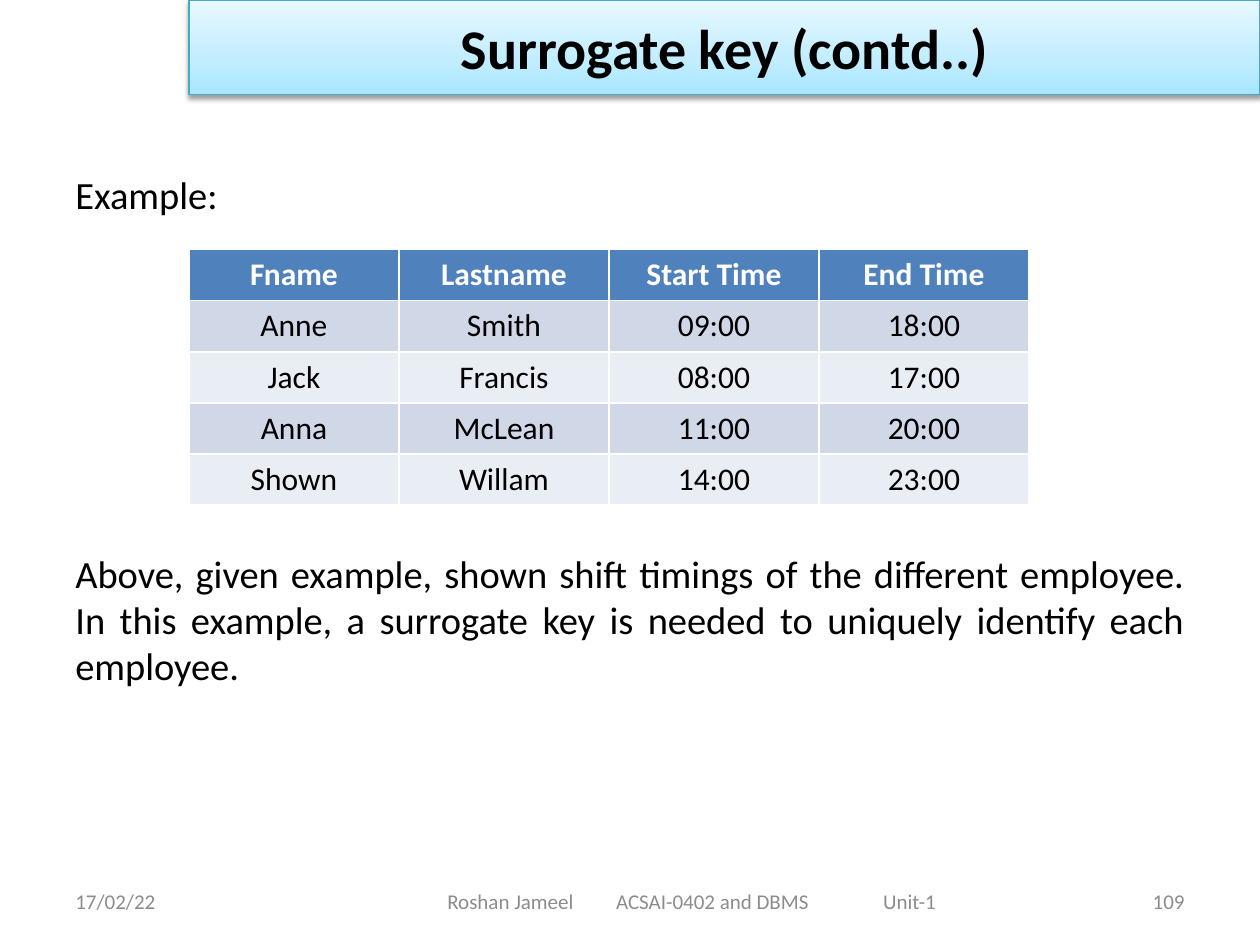
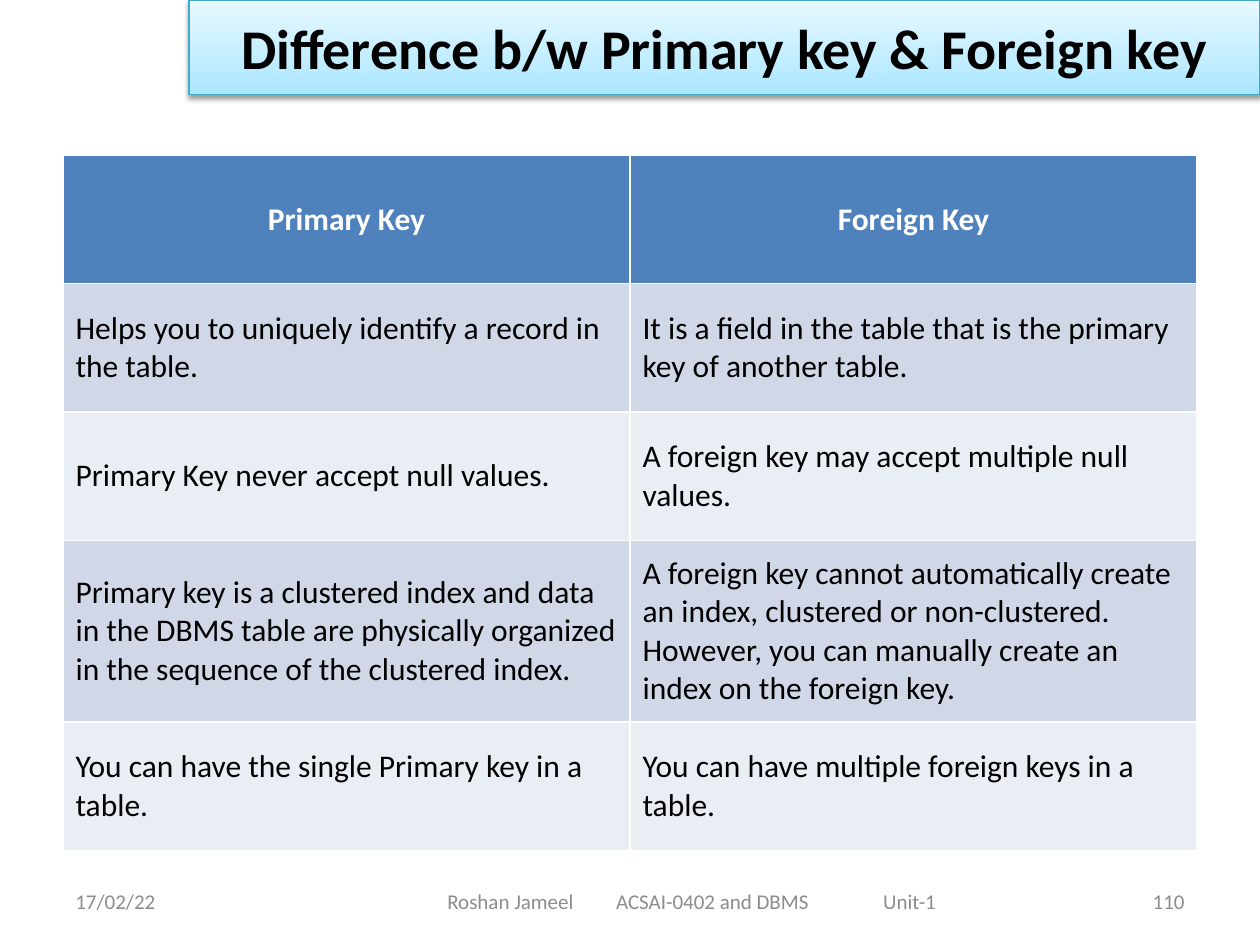
from pptx import Presentation
from pptx.dml.color import RGBColor
from pptx.enum.shapes import MSO_SHAPE
from pptx.enum.text import MSO_ANCHOR, PP_ALIGN
from pptx.oxml import parse_xml
from pptx.oxml.ns import nsdecls
from pptx.util import Inches, Pt

RECT = MSO_SHAPE.RECTANGLE
MIDDLE = MSO_ANCHOR.MIDDLE
LEFT, CENTER, RIGHT, JUST = PP_ALIGN.LEFT, PP_ALIGN.CENTER, PP_ALIGN.RIGHT, PP_ALIGN.JUSTIFY

FONT = "Calibri"
BLACK, WHITE, GRAY = "000000", "FFFFFF", "8C8C8C"
HEAD, DARK, PALE, EDGE = "4F81BD", "D0D8E8", "E9EDF4", "46AAC5"
STOPS = [(0, "A7E6FF"), (35, "C1EDFF"), (100, "E7F8FF")]

GRADE = "".join(
    f'<a:gs pos="{pos * 1000}"><a:srgbClr val="{tone}"/></a:gs>' for pos, tone in STOPS)
GRADE = (f'<a:gradFill {nsdecls("a")} rotWithShape="1"><a:gsLst>{GRADE}</a:gsLst>'
         '<a:lin ang="16200000" scaled="0"/></a:gradFill>')
SHADE = (f'<a:effectLst {nsdecls("a")}><a:outerShdw blurRad="39370" dist="20320" dir="5400000" '
         f'rotWithShape="0"><a:srgbClr val="{BLACK}"><a:alpha val="38000"/></a:srgbClr>'
         '</a:outerShdw></a:effectLst>')
TABS = f'<a:tabLst {nsdecls("a")}><a:tab pos="{Inches(1.34)}" algn="l"/>' \
       f'<a:tab pos="{Inches(3.46)}" algn="l"/></a:tabLst>'


def color(code):
    return RGBColor.from_string(code)


def write(par, text, size, tone=BLACK, align=LEFT, bold=False):
    par.alignment = align
    run = par.add_run()
    run.text = text
    run.font.name = FONT
    run.font.size = Pt(size)
    run.font.bold = bold
    run.font.color.rgb = color(tone)


deck = Presentation()
deck.slide_width, deck.slide_height = Inches(10), Inches(7.5)
wide, tall = deck.slide_width, deck.slide_height
edge = int(wide * 0.05)
inner = wide - 2 * edge
band = int(wide * 0.15)

shifts = [
    ["Fname", "Lastname", "Start Time", "End Time"],
    ["Anne", "Smith", "09:00", "18:00"],
    ["Jack", "Francis", "08:00", "17:00"],
    ["Anna", "McLean", "11:00", "20:00"],
    ["Shown", "Willam", "14:00", "23:00"],
]
keys = [
    ["Primary Key", "Foreign Key"],
    ["Helps you to uniquely identify a record in the table.",
     "It is a field in the table that is the primary key of another table."],
    ["Primary Key never accept null values.",
     "A foreign key may accept multiple null values."],
    ["Primary key is a clustered index and data in the DBMS table are physically "
     "organized in the sequence of the clustered index.",
     "A foreign key cannot automatically create an index, clustered or non-clustered. "
     "However, you can manually create an index on the foreign key."],
    ["You can have the single Primary key in a table.",
     "You can have multiple foreign keys in a table."],
]
story = [
    ("Example:", 0),
    ("Above, given example, shown shift timings of the different employee. In this example, "
     "a surrogate key is needed to uniquely identify each employee.", 190),
]

# title, page, body text, table rows, left, top, width, row heights, cell alignment
pages = [
    ("Surrogate key (contd..)", 109, story, shifts,
     band, Inches(1.98), wide * 2 // 3, [2.03 / 5] * 5, CENTER),
    ("Difference b/w Primary key & Foreign key", 110, [], keys,
     edge, Inches(1.23), inner, [1.02, 1.02, 1.02, 1.44, 1.02], LEFT),
]

for title, page, body, rows, left, top, width, highs, align in pages:
    slide = deck.slides.add_slide(deck.slide_layouts[6])

    # Footer
    feet = [
        (edge, 2.33, "17/02/22", LEFT),
        (Inches(2.75), 5.5, "Roshan Jameel\tACSAI-0402 and DBMS\tUnit-1", LEFT),
        (wide - edge - Inches(2.33), 2.33, str(page), RIGHT),
    ]
    for start, span, text, side in feet:
        box = slide.shapes.add_textbox(start, Inches(6.95), Inches(span), Inches(0.4))
        frame = box.text_frame
        frame.word_wrap = True
        frame.vertical_anchor = MIDDLE
        par = frame.paragraphs[0]
        write(par, text, 12, GRAY, side)
        if "\t" in text:
            frame.margin_left = Inches(0.8)
            par._p.get_or_add_pPr().append(parse_xml(TABS))

    # Title band
    bar = slide.shapes.add_shape(RECT, band, 0, wide - band, tall // 10)
    bar.line.color.rgb = color(EDGE)
    bar.line.width = Pt(0.75)
    line = bar.line._get_or_add_ln()
    line.addprevious(parse_xml(GRADE))
    line.addnext(parse_xml(SHADE))
    bar.text_frame.word_wrap = True
    bar.text_frame.vertical_anchor = MIDDLE
    write(bar.text_frame.paragraphs[0], title, 32, BLACK, CENTER, True)

    # Body
    if body:
        frame = slide.shapes.add_textbox(edge, Inches(1.31), inner, Inches(5.39)).text_frame
        frame.word_wrap = True
        for n, (text, gap) in enumerate(body):
            par = frame.add_paragraph() if n else frame.paragraphs[0]
            par.space_before = Pt(gap)
            write(par, text, 22, BLACK, JUST)

    # Table
    grid = slide.shapes.add_table(
        len(rows), len(rows[0]), left, top, width, Inches(sum(highs))).table
    for r, (row, high) in enumerate(zip(rows, highs)):
        grid.rows[r].height = Inches(high)
        for c, text in enumerate(row):
            cell = grid.cell(r, c)
            cell.vertical_anchor = MIDDLE
            cell.fill.solid()
            cell.fill.fore_color.rgb = color(HEAD if r == 0 else DARK if r % 2 else PALE)
            write(cell.text_frame.paragraphs[0], text, 18, BLACK if r else WHITE,
                  align if r else CENTER, r == 0)

deck.save("out.pptx")
